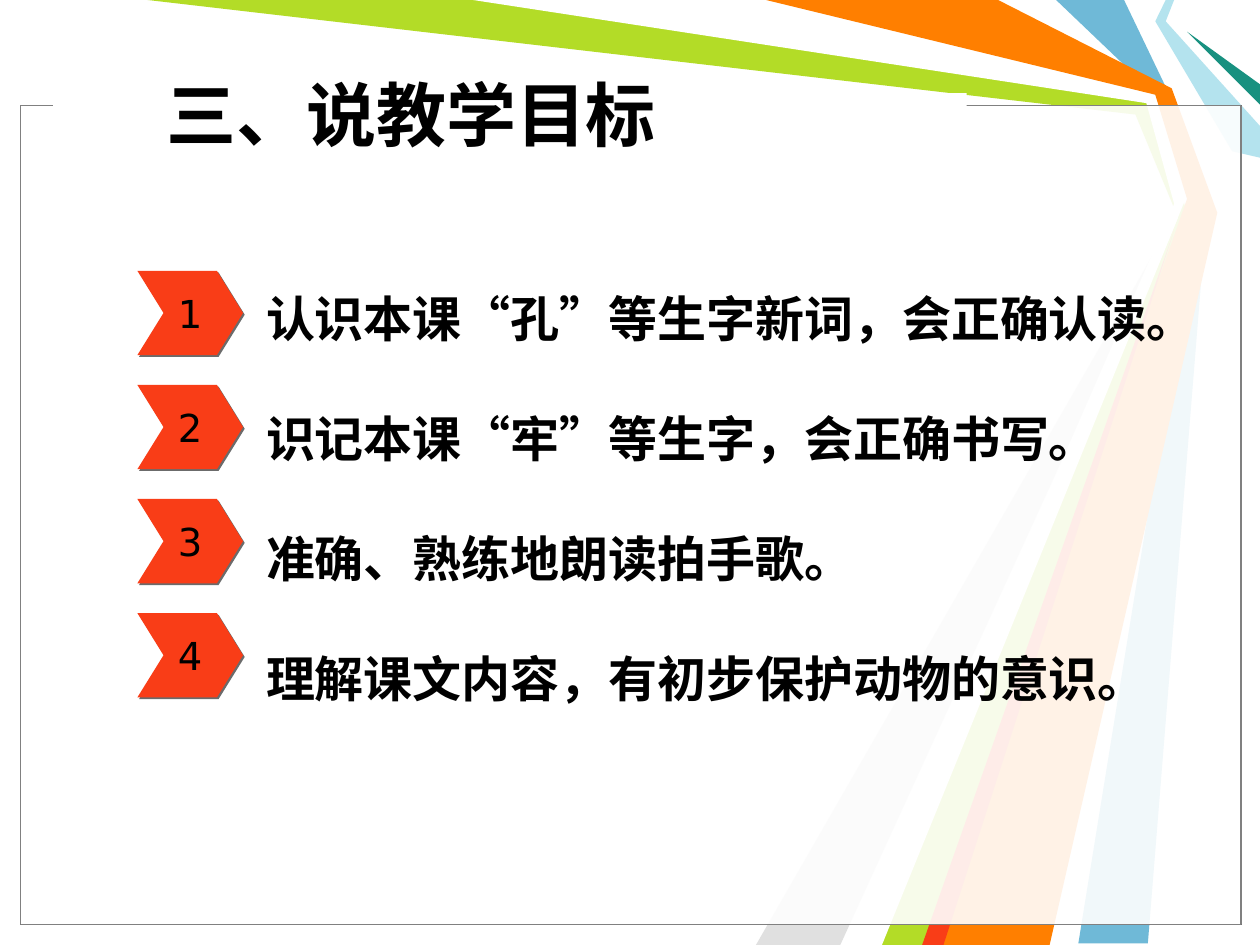
from lxml.etree import SubElement
from pptx import Presentation
from pptx.dml.color import RGBColor
from pptx.enum.shapes import MSO_SHAPE
from pptx.enum.text import MSO_ANCHOR, MSO_AUTO_SIZE, PP_ALIGN
from pptx.oxml.ns import qn
from pptx.util import Cm, Pt

COLORS = {
    "blue": "6FB9D7", "green": "B3DC27", "silver": "E0E0E0", "white": "FFFFFF",
    "pale": "B4E3EE", "teal": "189180", "orange": "FF7F00", "red": "F93D17",
    "black": "000000", "border": "808080", "shadow": "6B6B6B",
}

RIBBONS = [
    ("blue", [(22.66, 0), (23.6, 1.96), (24.33, 4.24), (23.14, 19.02),
              (21.74, 19.02), (24.13, 4.24), (23.29, 1.91), (21.29, 0)]),
    ("green", [(2.97, 0), (9.73, 0), (23.22, 1.98), (23.93, 4.29),
               (18.85, 19.05), (17.58, 19.05), (23.75, 4.39), (22.89, 2.31)]),
    ("silver", [(16.94, 19.05), (23.55, 4.6), (15.24, 19.05)]),
    ("white", [(9.53, 0), (23.11, 2.08), (23.67, 4.11), (17.15, 19.05),
               (17.78, 19.05), (23.9, 4.01), (23.29, 1.91), (15.24, 0)]),
    ("pale", [(23.5, 0), (23.29, 0.43), (24.84, 3.05), (25.4, 3.18),
              (25.4, 2.54), (23.5, 0.43), (23.67, 0)]),
    ("teal", [(25.4, 2.11), (23.93, 0.64), (25.4, 1.7)]),
    ("orange", [(15.44, 0), (20.12, 0), (23.62, 1.78), (24.54, 4.29),
                (21.16, 19.05), (18.62, 19.05), (23.93, 4.01), (23.29, 1.91)]),
    ("red", [(18.59, 19.05), (23.67, 4.65), (19.02, 19.05)]),
]

GOALS = [
    "认识本课“孔”等生字新词，会正确认读。",
    "识记本课“牢”等生字，会正确书写。",
    "准确、熟练地朗读拍手歌。",
    "理解课文内容，有初步保护动物的意识。",
]


def rgb(name):
    """Return the named palette colour."""
    return RGBColor.from_string(COLORS[name])


def paint(shape, fill, line=None):
    """Give a shape a solid fill, an optional thin line and no shadow."""
    shape.shadow.inherit = False
    shape.fill.solid()
    shape.fill.fore_color.rgb = rgb(fill)
    if line:
        shape.line.color.rgb = rgb(line)
        shape.line.width = Pt(0.75)
    else:
        shape.line.fill.background()


def format_paragraph(paragraph, size, font, bold=False):
    """Format every run of a paragraph."""
    for run in paragraph.runs:
        run.font.size = Pt(size)
        run.font.name = font
        run.font.bold = bold
        run.font.color.rgb = rgb("black")


def add_ribbon(slide, color, points):
    """Draw one coloured ribbon through points given in centimetres."""
    corners = [(Cm(x), Cm(y)) for x, y in points]
    builder = slide.shapes.build_freeform(*corners[0])
    builder.add_line_segments(corners[1:], close=True)
    paint(builder.convert_to_shape(), color)


def add_panel(slide, line):
    """Add a translucent white content panel."""
    panel = slide.shapes.add_shape(
        MSO_SHAPE.RECTANGLE, Cm(0.41), Cm(2.13), Cm(24.61), Cm(16.51))
    paint(panel, "white", line)
    fill_color = panel.fill._xPr.find(qn("a:solidFill"))[0]
    SubElement(fill_color, qn("a:alpha"), val="69000")


def add_border_gap(slide):
    """Cover the panel's top border behind the title."""
    gap = slide.shapes.add_shape(
        MSO_SHAPE.RECTANGLE, Cm(1.07), Cm(1.88), Cm(18.42), Cm(0.43))
    paint(gap, "white")


def add_number(slide, number):
    """Add the numbered chevron of one goal."""
    top = 5.46 + 2.3 * (number - 1)
    chevron = slide.shapes.add_shape(
        MSO_SHAPE.CHEVRON, Cm(2.77), Cm(top), Cm(2.13), Cm(1.7))
    chevron.adjustments[0] = 0.31
    paint(chevron, "red")
    effects = chevron.element.spPr.find(qn("a:effectLst"))
    shadow = SubElement(effects, qn("a:outerShdw"), dist=str(Pt(1.4)),
                        dir="2700000", algn="ctr", rotWithShape="0")
    SubElement(shadow, qn("a:srgbClr"), val=COLORS["shadow"])
    frame = chevron.text_frame
    frame.text = str(number)
    frame.word_wrap = False
    frame.vertical_anchor = MSO_ANCHOR.MIDDLE
    frame.paragraphs[0].alignment = PP_ALIGN.CENTER
    format_paragraph(frame.paragraphs[0], 22, "DejaVu Sans")


def place(placeholder, left, top, width, height, anchor):
    """Move a placeholder to the front and to its place."""
    placeholder.left, placeholder.top = Cm(left), Cm(top)
    placeholder.width, placeholder.height = Cm(width), Cm(height)
    placeholder.element.getparent().append(placeholder.element)
    frame = placeholder.text_frame
    frame.word_wrap = True
    frame.auto_size = MSO_AUTO_SIZE.NONE
    frame.vertical_anchor = anchor
    return frame


def fill_title(slide, text):
    """Write the slide title."""
    frame = place(slide.shapes.title, 3.1, 1.32, 11.81, 1.98, MSO_ANCHOR.TOP)
    frame.text = text
    heading = frame.paragraphs[0]
    heading.alignment = PP_ALIGN.LEFT
    format_paragraph(heading, 40, "Arial", bold=True)


def fill_goals(slide, goals):
    """Write the goals as one evenly spaced list."""
    frame = place(slide.placeholders[1], 5.11, 5.51, 19.6, 8.82, MSO_ANCHOR.MIDDLE)
    frame.text = "\n".join(goals)
    for index, goal in enumerate(frame.paragraphs):
        properties = goal._p.get_or_add_pPr()
        properties.set("marL", "0")
        properties.set("indent", "0")
        SubElement(properties, qn("a:buNone"))
        goal.line_spacing = Pt(40)
        goal.space_before = Pt(28.5 if index else 0)
        format_paragraph(goal, 28, "DejaVu Sans", bold=True)


def main():
    """Build the teaching goals slide."""
    deck = Presentation()
    deck.slide_width, deck.slide_height = Cm(25.4), Cm(19.05)
    slide = deck.slides.add_slide(deck.slide_layouts[1])
    for color, points in RIBBONS:
        add_ribbon(slide, color, points)
    for line in ("black", "border"):
        add_panel(slide, line)
    add_border_gap(slide)
    for number in range(1, len(GOALS) + 1):
        add_number(slide, number)
    fill_title(slide, "三、说教学目标")
    fill_goals(slide, GOALS)
    deck.save("out.pptx")


if __name__ == "__main__":
    main()
